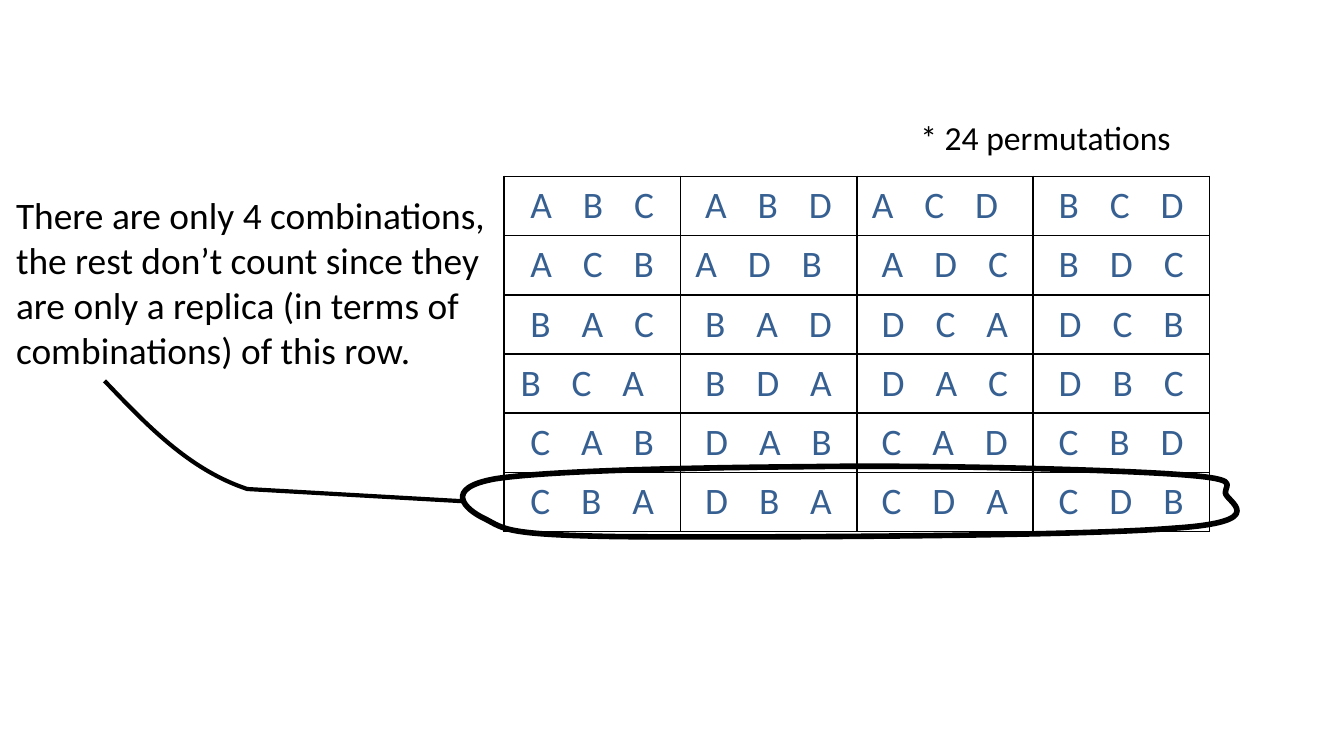
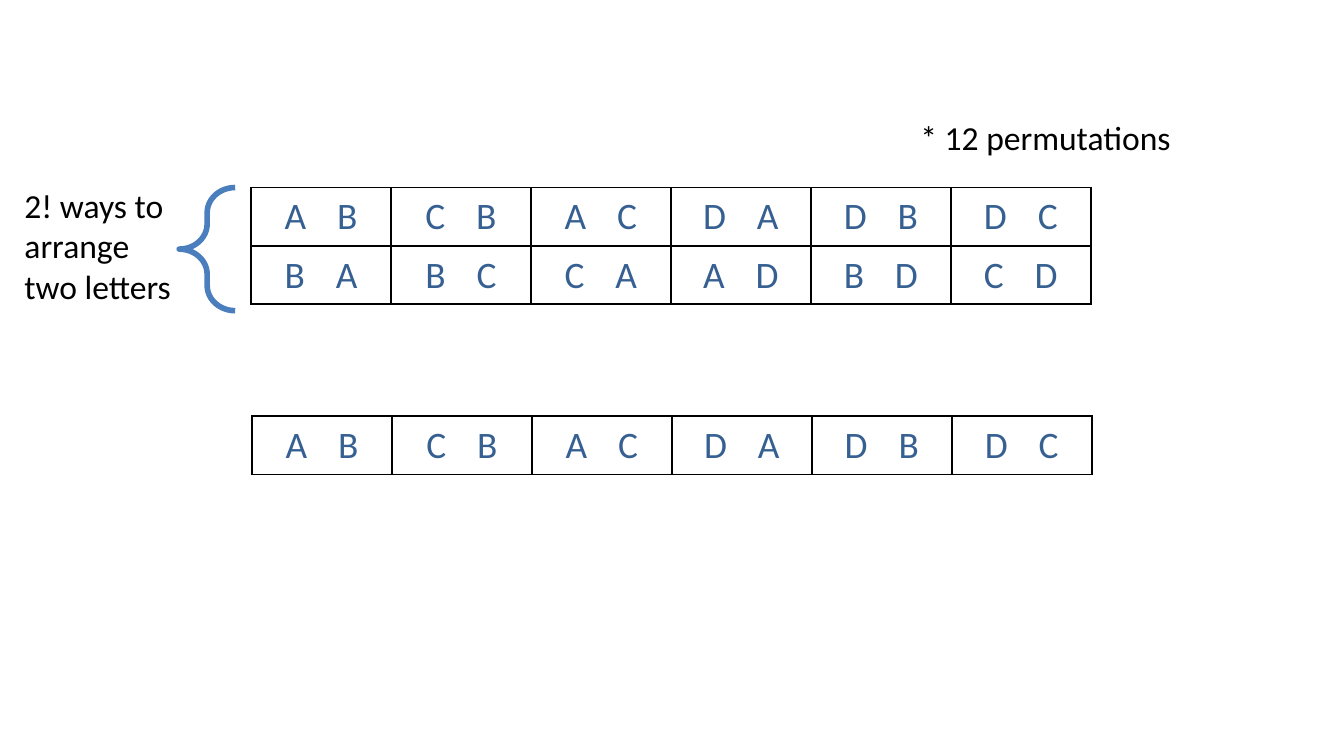
from dataclasses import dataclass
from typing import NamedTuple

from lxml import etree
from pptx import Presentation
from pptx.dml.color import RGBColor
from pptx.enum.shapes import MSO_SHAPE
from pptx.enum.text import MSO_ANCHOR, MSO_AUTO_SIZE, PP_ALIGN
from pptx.oxml.ns import qn
from pptx.shapes.base import BaseShape
from pptx.slide import Slide
from pptx.table import _Cell
from pptx.text.text import Font
from pptx.util import Emu, Pt

LEFT_BRACE = MSO_SHAPE.LEFT_BRACE
MIDDLE = MSO_ANCHOR.MIDDLE
GROW = MSO_AUTO_SIZE.SHAPE_TO_FIT_TEXT
CENTER = PP_ALIGN.CENTER

EMU_PER_PX = 6350
SLIDE_WIDTH, SLIDE_HEIGHT = 1440, 810
BLANK_LAYOUT = 6
FONT = "Calibri"
COLORS = {"ink": "000000", "letters": "376092", "brace": "4B7EBC"}
LETTER_SIZE = 20
LETTER_SPACING = 600
ROW_HEIGHT = 59
BORDER_WIDTH = 1


class Point(NamedTuple):
    x: int
    y: int


class Box(NamedTuple):
    left: int
    top: int
    width: int
    height: int


@dataclass(frozen=True)
class Note:
    text: str
    box: Box
    size: int = 18


@dataclass(frozen=True)
class LetterTable:
    left: int
    top: int
    column_width: int
    frame_height: int
    rows: list[list[str]]


@dataclass(frozen=True)
class Stroke:
    box: Box
    start: Point
    segments: list[tuple[Point, ...]]
    width: float
    closed: bool


ARRANGEMENTS_OF_THREE = [
    ["A B C", "A B D", "A C D ", "B C D"],
    ["A C B", "A D B ", "A D C", "B D C"],
    ["B A C", "B A D", "D C A", "D C B"],
    ["B C A ", "B D A", "D A C", "D B C"],
    ["C A B", "D A B", "C A D", "C B D"],
    ["C B A", "D B A", "C D A", "C D B"],
]
PAIRS = ["A B", "C B", "A C", "D A", "D B", "D C"]
REVERSED_PAIRS = [pair[::-1] for pair in PAIRS]

ROW_LOOP = Stroke(
    Box(495, 500, 831, 76),
    Point(531, 513),
    [
        (Point(590, 504), Point(749, 501), Point(870, 500)),
        (Point(991, 498), Point(1182, 503), Point(1257, 508)),
        (Point(1331, 513), Point(1313, 518), Point(1313, 528)),
        (Point(1313, 537), Point(1365, 559), Point(1257, 566)),
        (Point(1148, 575), Point(786, 576), Point(664, 575)),
        (Point(541, 573), Point(541, 567), Point(520, 556)),
        (Point(498, 546), Point(474, 523), Point(531, 513)),
    ],
    3,
    True,
)
LOOP_TAIL = Stroke(
    Box(112, 408, 383, 129),
    Point(495, 537),
    [
        (Point(265, 524),),
        (Point(202, 503), Point(157, 455), Point(112, 408)),
    ],
    2.25,
    False,
)


def px(length: int) -> Emu:
    return Emu(length * EMU_PER_PX)


def color(name: str) -> RGBColor:
    return RGBColor.from_string(COLORS[name])


def style_font(font: Font, size: int, color_name: str) -> None:
    font.name = FONT
    font.size = Pt(size)
    font.color.rgb = color(color_name)


def style_outline(shape: BaseShape, color_name: str, width: float) -> None:
    shape.shadow.inherit = False
    shape.fill.background()
    shape.line.color.rgb = color(color_name)
    shape.line.width = Pt(width)


def add_note(slide: Slide, note: Note) -> None:
    frame = slide.shapes.add_textbox(*map(px, note.box)).text_frame
    frame.word_wrap = True
    frame.auto_size = GROW
    paragraph = frame.paragraphs[0]
    paragraph.text = note.text
    style_font(paragraph.font, note.size, "ink")


def add_permutation_count(slide: Slide, count: int) -> None:
    add_note(slide, Note(f"* {count} permutations", Box(972, 118, 300, 58)))


def add_cell_borders(cell: _Cell) -> None:
    properties = cell._tc.get_or_add_tcPr()
    for side in ("lnL", "lnR", "lnT", "lnB"):
        line = etree.SubElement(
            properties, qn(f"a:{side}"), w=str(Pt(BORDER_WIDTH))
        )
        fill = etree.SubElement(line, qn("a:solidFill"))
        etree.SubElement(fill, qn("a:srgbClr"), val=COLORS["ink"])


def fill_cell(cell: _Cell, letters: str) -> None:
    add_cell_borders(cell)
    cell.fill.background()
    cell.vertical_anchor = MIDDLE
    paragraph = cell.text_frame.paragraphs[0]
    paragraph.alignment = CENTER
    run = paragraph.add_run()
    run.text = letters
    style_font(run.font, LETTER_SIZE, "letters")
    run.font._element.set("spc", str(LETTER_SPACING))


def add_letter_table(slide: Slide, content: LetterTable) -> None:
    row_count, column_count = len(content.rows), len(content.rows[0])
    box = Box(
        content.left,
        content.top,
        column_count * content.column_width,
        row_count * ROW_HEIGHT,
    )
    frame = slide.shapes.add_table(row_count, column_count, *map(px, box))
    frame.height = px(content.frame_height)
    table = frame.table
    table.first_row = False
    table.horz_banding = False
    for row, row_letters in zip(table.rows, content.rows):
        for cell, letters in zip(row.cells, row_letters):
            fill_cell(cell, letters)


def add_stroke(slide: Slide, stroke: Stroke) -> None:
    left, top, width, height = stroke.box
    builder = slide.shapes.build_freeform(px(left), px(top))
    builder.add_line_segments([(px(left + width), px(top + height))], close=False)
    shape = builder.convert_to_shape()
    outline = next(shape._element.iter(qn("a:path")))
    for command in list(outline):
        outline.remove(command)

    def add_command(name: str, points: tuple[Point, ...]) -> None:
        command = etree.SubElement(outline, qn(f"a:{name}"))
        for point in points:
            etree.SubElement(
                command,
                qn("a:pt"),
                x=str(px(point.x - left)),
                y=str(px(point.y - top)),
            )

    add_command("moveTo", (stroke.start,))
    for segment in stroke.segments:
        add_command("lnTo" if len(segment) == 1 else "cubicBezTo", segment)
    if stroke.closed:
        add_command("close", ())
    style_outline(shape, "ink", stroke.width)


def add_brace(slide: Slide, box: Box) -> None:
    brace = slide.shapes.add_shape(LEFT_BRACE, *map(px, box))
    brace.adjustments[0] = 0.45
    style_outline(brace, "brace", 3)


def build_three_letter_slide(slide: Slide) -> None:
    add_letter_table(slide, LetterTable(540, 189, 189, 374, ARRANGEMENTS_OF_THREE))
    add_permutation_count(slide, 24)
    add_note(slide, Note(
        "There are only 4 combinations, the rest don’t count since they "
        "are only a replica (in terms of combinations) of this row.",
        Box(3, 199, 540, 209),
        20,
    ))
    add_stroke(slide, ROW_LOOP)
    add_stroke(slide, LOOP_TAIL)


def build_two_letter_slide(slide: Slide) -> None:
    pair_rows = [PAIRS, REVERSED_PAIRS]
    add_letter_table(slide, LetterTable(269, 201, 150, 125, pair_rows))
    add_letter_table(slide, LetterTable(270, 446, 150, 62, [PAIRS]))
    add_permutation_count(slide, 12)
    add_brace(slide, Box(192, 201, 60, 132))
    add_note(slide, Note("2! ways to arrange two letters", Box(12, 191, 192, 145)))


def main() -> None:
    presentation = Presentation()
    presentation.slide_width = px(SLIDE_WIDTH)
    presentation.slide_height = px(SLIDE_HEIGHT)
    layout = presentation.slide_layouts[BLANK_LAYOUT]
    for build in (build_three_letter_slide, build_two_letter_slide):
        build(presentation.slides.add_slide(layout))
    presentation.save("out.pptx")


if __name__ == "__main__":
    main()
